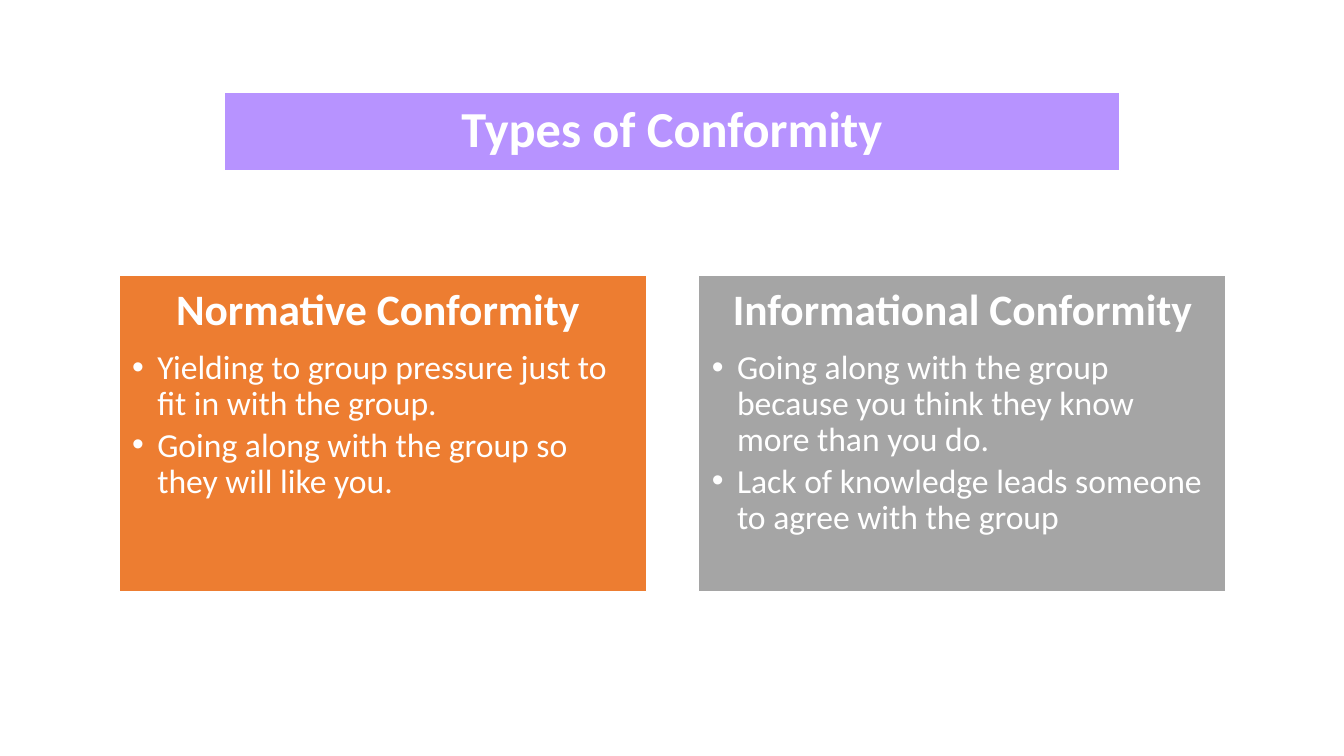
from dataclasses import dataclass

import lxml.etree
import pptx
import pptx.dml.color
import pptx.enum.text
import pptx.oxml.ns
import pptx.util

SLIDE_W, SLIDE_H = 13.33, 7.5


@dataclass(frozen=True)
class Theme:
    font: str = "Calibri"
    white: str = "FFFFFF"
    purple: str = "B793FF"
    orange: str = "ED7D31"
    grey: str = "A5A5A5"
    title_size: int = 36
    heading_size: int = 31
    body_size: int = 24
    leading: float = 0.9
    heading_gap: float = 0.35  # share of the type size
    body_gap: float = 0.15


@dataclass(frozen=True)
class Panel:
    heading: str
    points: tuple[str, ...]
    fill: str


THEME = Theme()
PANELS = (
    Panel(
        "Normative Conformity ",
        (
            "Yielding to group pressure just to fit in with the group.",
            "Going along with the group so they will like you.",
        ),
        THEME.orange,
    ),
    Panel(
        "Informational Conformity",
        (
            "Going along with the group because you think they know more than you do.",
            "Lack of knowledge leads someone to agree with the group",
        ),
        THEME.grey,
    ),
)

# Layout in inches: equal panels, with the title centred above them
PANEL_LEFT, PANEL_TOP, PANEL_W, PANEL_H = 1.18, 2.73, 5.23, 3.14
PANEL_STEP = 5.75
TITLE_TOP, TITLE_W, TITLE_H = 0.92, 8.89, 0.77
BULLET_INDENT = 0.25


def rgb(value: str) -> pptx.dml.color.RGBColor:
    return pptx.dml.color.RGBColor.from_string(value)


def style_box(sp, left: float, top: float, width: float, height: float,
              fill: str, inset: float, geometry: str) -> None:
    """Place a placeholder and give it an outline shape, fill and margins."""
    sp.left, sp.top, sp.width, sp.height = map(pptx.util.Inches, (left, top, width, height))
    geom = lxml.etree.SubElement(sp.element.spPr, pptx.oxml.ns.qn("a:prstGeom"), prst=geometry)
    lxml.etree.SubElement(geom, pptx.oxml.ns.qn("a:avLst"))
    sp.fill.solid()
    sp.fill.fore_color.rgb = rgb(fill)
    sp.line.color.rgb = rgb(THEME.white)
    sp.line.width = pptx.util.Pt(1)
    tf = sp.text_frame
    tf.word_wrap = True
    tf.auto_size = pptx.enum.text.MSO_AUTO_SIZE.NONE
    tf.margin_left = tf.margin_right = pptx.util.Inches(inset)
    tf.margin_top = tf.margin_bottom = pptx.util.Inches(inset)


def write(p, text: str, size: int, gap: float, bullet: bool = False) -> None:
    """Write a bold centred heading, or a plain bulleted point."""
    ppr = p._p.get_or_add_pPr()
    indent = pptx.util.Inches(BULLET_INDENT) if bullet else 0
    ppr.set("marL", str(indent))
    ppr.set("indent", str(-indent))
    if bullet:
        p.level = 1
        lxml.etree.SubElement(ppr, pptx.oxml.ns.qn("a:buChar"), char="•")
    else:
        lxml.etree.SubElement(ppr, pptx.oxml.ns.qn("a:buNone"))
    align = pptx.enum.text.PP_ALIGN
    p.alignment = align.LEFT if bullet else align.CENTER
    p.line_spacing = THEME.leading
    p.space_before = pptx.util.Pt(0)
    p.space_after = pptx.util.Pt(size * gap)
    r = p.add_run()
    r.text = text
    r.font.name = THEME.font
    r.font.size = pptx.util.Pt(size)
    r.font.bold = not bullet
    r.font.color.rgb = rgb(THEME.white)


def draw_title(sp, text: str) -> None:
    style_box(sp, (SLIDE_W - TITLE_W) / 2, TITLE_TOP, TITLE_W, TITLE_H,
              THEME.purple, 0.15, "roundRect")
    tf = sp.text_frame
    tf.vertical_anchor = pptx.enum.text.MSO_ANCHOR.MIDDLE
    write(tf.paragraphs[0], text, THEME.title_size, THEME.heading_gap)


def draw_panel(sp, panel: Panel, column: int) -> None:
    style_box(sp, PANEL_LEFT + column * PANEL_STEP, PANEL_TOP, PANEL_W, PANEL_H,
              panel.fill, 0.13, "rect")
    tf = sp.text_frame
    tf.vertical_anchor = pptx.enum.text.MSO_ANCHOR.TOP
    write(tf.paragraphs[0], panel.heading, THEME.heading_size, THEME.heading_gap)
    for point in panel.points:
        write(tf.add_paragraph(), point, THEME.body_size, THEME.body_gap, bullet=True)


def main() -> None:
    prs = pptx.Presentation()
    prs.slide_width = pptx.util.Inches(SLIDE_W)
    prs.slide_height = pptx.util.Inches(SLIDE_H)
    s = prs.slides.add_slide(prs.slide_layouts.get_by_name("Two Content"))

    # Title banner
    draw_title(s.shapes.title, "Types of Conformity")

    # One panel for each type
    for column, panel in enumerate(PANELS):
        draw_panel(s.placeholders[column + 1], panel, column)

    prs.save("out.pptx")


if __name__ == "__main__":
    main()
